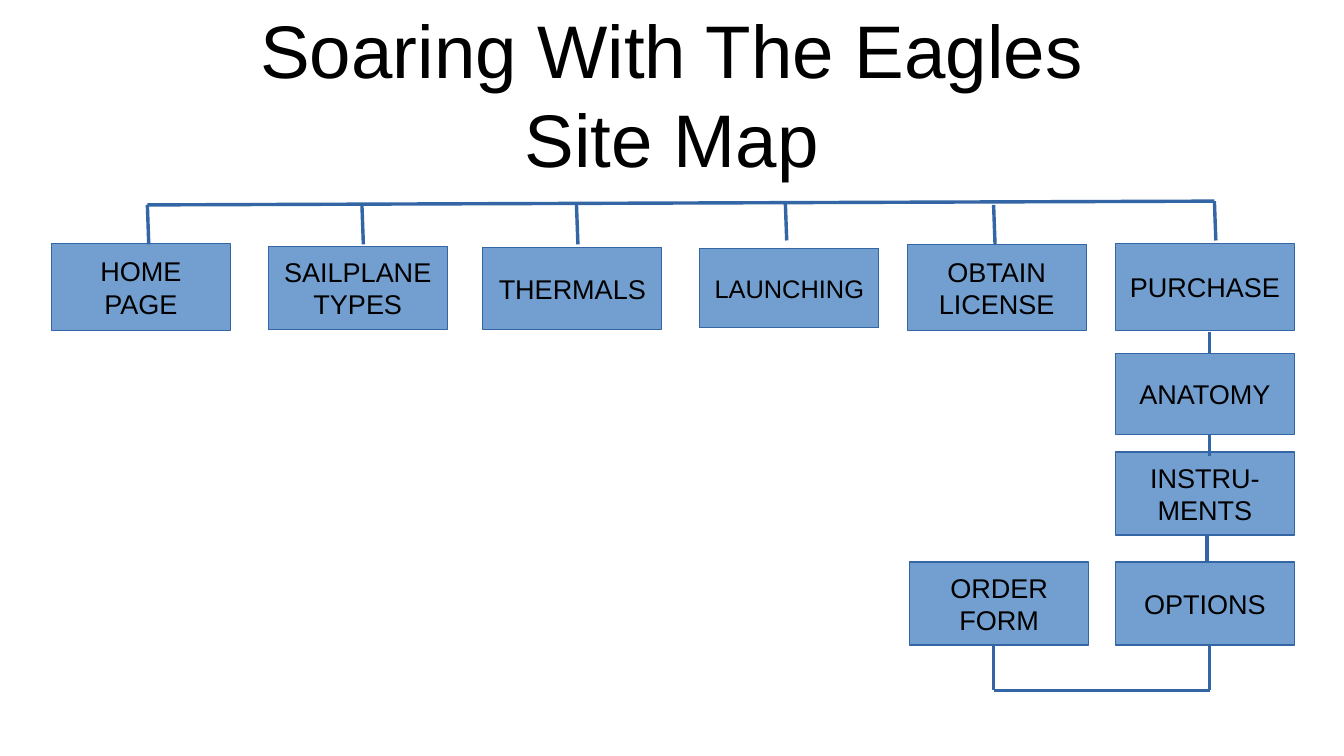
"""Builds the site map slide for Soaring With The Eagles."""
import lxml.etree
import pptx
import pptx.dml.color
import pptx.enum.shapes
import pptx.enum.text
import pptx.oxml.ns
import pptx.util

Cm = pptx.util.Cm
Pt = pptx.util.Pt

BOX_BLUE = pptx.dml.color.RGBColor(0x72, 0x9F, 0xCF)
LINE_BLUE = pptx.dml.color.RGBColor(0x34, 0x65, 0xA4)
BLACK = pptx.dml.color.RGBColor(0, 0, 0)

PAGE_WIDTH = 3.73
LAST_COLUMN = 23.24
ORDER_DROP, PURCHASE_DROP = 20.7, 25.2

FRAME_FORMAT = {
    "word_wrap": True,
    "auto_size": pptx.enum.text.MSO_AUTO_SIZE.NONE,
    "vertical_anchor": pptx.enum.text.MSO_ANCHOR.MIDDLE,
}
TITLE_MARGINS = dict.fromkeys(
    ("margin_left", "margin_top", "margin_right", "margin_bottom"), 0)

PAGES = [
    (["HOME", "PAGE"], 1.07, 5.08, 1.8, 16),
    (["SAILPLANE", "TYPES"], 5.59, 5.13, 1.73, 16),
    (["THERMALS"], 10.06, 5.16, 1.7, 16),
    (["LAUNCHING"], 14.58, 5.18, 1.65, 15),
    (["OBTAIN", "LICENSE"], 18.9, 5.1, 1.78, 16),
    (["PURCHASE"], LAST_COLUMN, 5.08, 1.8, 16),
    (["ANATOMY"], LAST_COLUMN, 7.37, 1.68, 16),
    (["INSTRU-MENTS"], LAST_COLUMN, 9.42, 1.73, 16),
    (["OPTIONS"], LAST_COLUMN, 11.71, 1.73, 16),
    (["ORDER", "FORM"], 18.95, 11.71, 1.73, 16),
]
RAIL = (3.07, 4.27, 25.3, 4.19)
DROPS = [(3.07, 4.27), (7.54, 4.27), (12.01, 4.27),
         (16.36, 4.19), (20.7, 4.27), (25.3, 4.19)]
PURCHASE_LINKS = [
    (PURCHASE_DROP, 6.91, PURCHASE_DROP, 7.37),
    (PURCHASE_DROP, 9.04, PURCHASE_DROP, 9.5),
    (25.15, 11.15, 25.15, 11.71),
]
ORDER_LINKS = [
    (ORDER_DROP, 13.44, ORDER_DROP, 14.38),
    (PURCHASE_DROP, 13.44, PURCHASE_DROP, 14.38),
    (ORDER_DROP, 14.38, PURCHASE_DROP, 14.38),
]


def apply_format(target, values):
    """Set each attribute named in values on target."""
    for name, value in values.items():
        setattr(target, name, value)


def format_text(frame, size):
    """Centre the text of a frame and set its font."""
    apply_format(frame, FRAME_FORMAT)
    for paragraph in frame.paragraphs:
        paragraph.alignment = pptx.enum.text.PP_ALIGN.CENTER
        for run in paragraph.runs:
            apply_format(run.font, {"name": "Arial", "size": Pt(size)})
            run.font.color.rgb = BLACK


def format_outline(line):
    """Give a line the thin blue stroke of the site map."""
    line.color.rgb = LINE_BLUE
    line.width = Pt(0)


def add_title(slide):
    """Place and fill the slide title."""
    title = slide.shapes.title
    apply_format(title, {"left": Cm(1.4), "top": Cm(0.2),
                         "width": Cm(25.2), "height": Cm(3.48)})
    title.text_frame.text = "Soaring With The Eagles\vSite Map"
    apply_format(title.text_frame, TITLE_MARGINS)
    format_text(title.text_frame, 44)


def add_page(slide, words, left, top, height, size):
    """Draw one page of the site as a labelled box."""
    page = slide.shapes.add_shape(
        pptx.enum.shapes.MSO_SHAPE.RECTANGLE,
        Cm(left), Cm(top), Cm(PAGE_WIDTH), Cm(height))
    page.shadow.inherit = False
    page.fill.solid()
    page.fill.fore_color.rgb = BOX_BLUE
    format_outline(page.line)
    page.text_frame.text = "\n".join(words)
    format_text(page.text_frame, size)


def add_link(slide, *ends):
    """Draw a straight link between two points."""
    link = slide.shapes.add_connector(
        pptx.enum.shapes.MSO_CONNECTOR.STRAIGHT, *map(Cm, ends))
    format_outline(link.line)
    lxml.etree.SubElement(link.element.spPr, pptx.oxml.ns.qn("a:effectLst"))


def main():
    """Build and save the slide."""
    deck = pptx.Presentation()
    apply_format(deck, {"slide_width": Cm(28), "slide_height": Cm(15.75)})
    slide = deck.slides.add_slide(deck.slide_layouts.get_by_name("Title Only"))
    add_title(slide)
    for page in PAGES:
        add_page(slide, *page)
    drop_links = [(x, y, x + 0.03, y + 0.82) for x, y in DROPS]
    for link in [RAIL, *drop_links, *PURCHASE_LINKS, *ORDER_LINKS]:
        add_link(slide, *link)
    deck.save("out.pptx")


if __name__ == "__main__":
    main()
